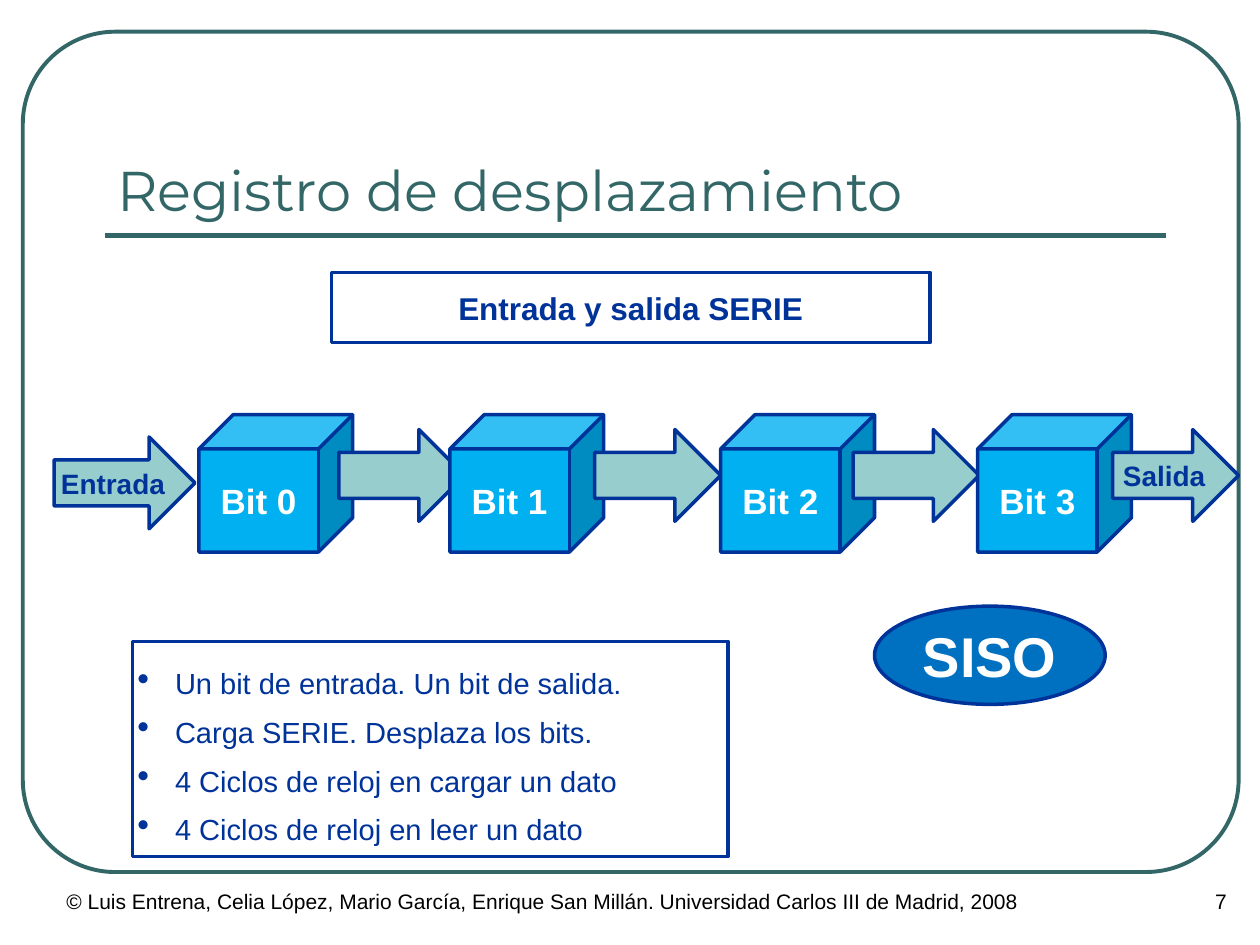
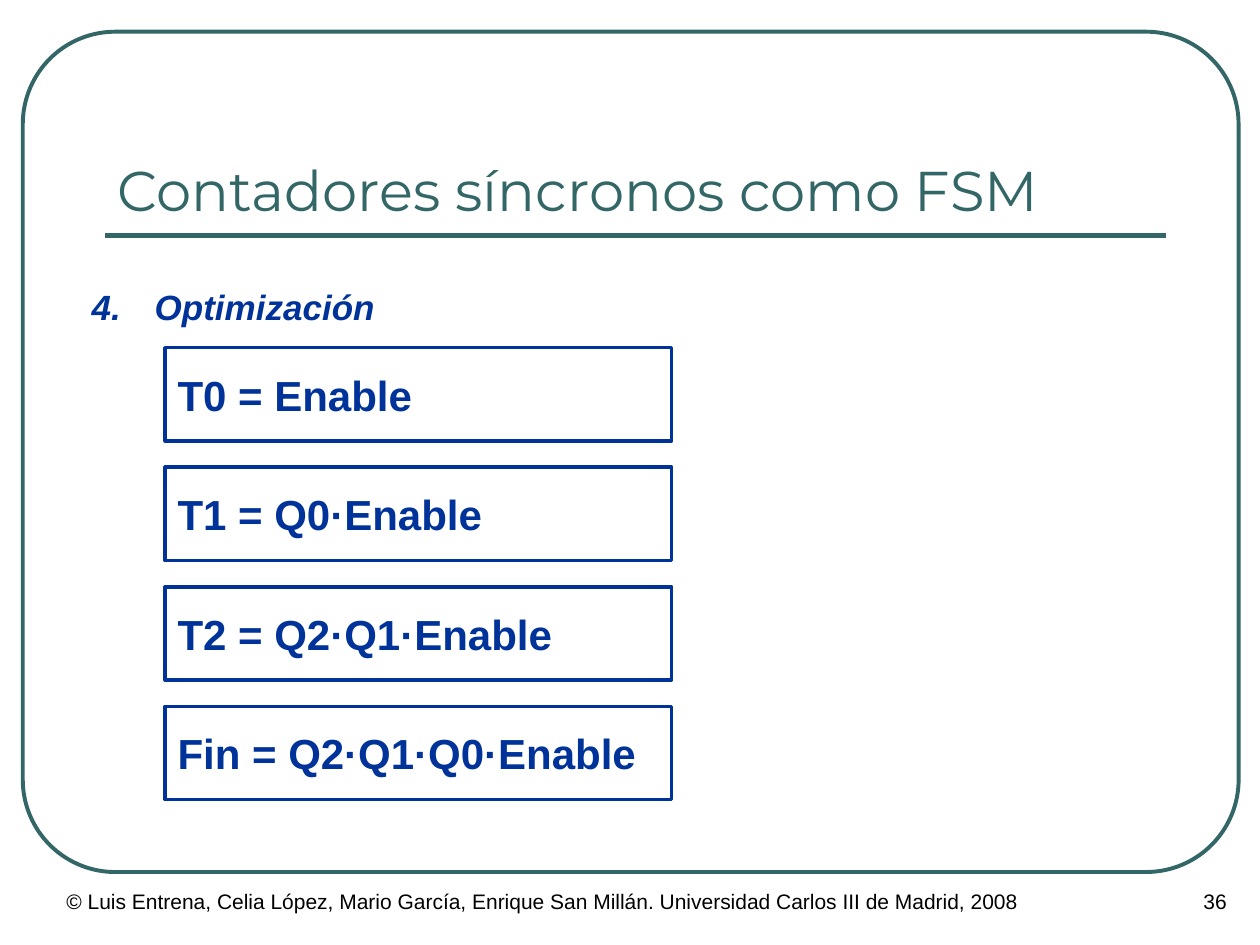
from lxml import etree
from pptx import Presentation
from pptx.dml.color import RGBColor
from pptx.enum.shapes import MSO_CONNECTOR, MSO_SHAPE
from pptx.enum.text import MSO_ANCHOR, PP_ALIGN
from pptx.oxml.ns import qn
from pptx.util import Cm, Pt

LEFT, CENTER, RIGHT, JUSTIFY = PP_ALIGN.LEFT, PP_ALIGN.CENTER, PP_ALIGN.RIGHT, PP_ALIGN.JUSTIFY
TOP, MIDDLE, BOTTOM = MSO_ANCHOR.TOP, MSO_ANCHOR.MIDDLE, MSO_ANCHOR.BOTTOM
RECT, ROUND_RECT, OVAL = MSO_SHAPE.RECTANGLE, MSO_SHAPE.ROUNDED_RECTANGLE, MSO_SHAPE.OVAL
CUBE, ARROW = MSO_SHAPE.CUBE, MSO_SHAPE.RIGHT_ARROW
STRAIGHT = MSO_CONNECTOR.STRAIGHT

TEAL, NAVY, WHITE, BLACK = "336666", "003399", "FFFFFF", "000000"
SKY, AQUA, BLUE = "00B0F0", "97CDCC", "0070C0"
BODY_FONT, TITLE_FONT = "Arial", "Montserrat"
COPYRIGHT = ("© Luis Entrena, Celia López, Mario García, Enrique San Millán. "
             "Universidad Carlos III de Madrid, 2008")


def rgb(color):
    return RGBColor.from_string(color)


def write(tf, lines, size, color=NAVY, font=BODY_FONT, bold=False, italic=False,
          align=LEFT, anchor=MIDDLE, wrap=True):
    """Fill a text frame with one paragraph per line and return the paragraphs."""
    tf.word_wrap = wrap
    tf.vertical_anchor = anchor
    tf.text = "\n".join(lines)
    for p in tf.paragraphs:
        p.alignment = align
        f = p.font
        f.size, f.name, f.bold, f.italic = Pt(size), font, bold, italic
        f.color.rgb = rgb(color)
    return tf.paragraphs


def add_label(s, box, text, size, **style):
    tf = s.shapes.add_textbox(*map(Cm, box)).text_frame
    return write(tf, [text], size, **style)[0]


def add_block(s, kind, box, fill=None, line=NAVY, width=2):
    sp = s.shapes.add_shape(kind, *map(Cm, box))
    sp.shadow.inherit = False
    if fill:
        sp.fill.solid()
        sp.fill.fore_color.rgb = rgb(fill)
    else:
        sp.fill.background()
    sp.line.color.rgb = rgb(line)
    sp.line.width = Pt(width)
    return sp


def add_marker(p, indent, tag, size=None, **attributes):
    """Give a paragraph a hanging indent and a navy bullet or number."""
    pPr = p._p.get_or_add_pPr()
    pPr.set("marL", str(Cm(indent)))
    pPr.set("indent", str(-Cm(indent)))
    color = etree.Element(qn("a:buClr"))
    etree.SubElement(color, qn("a:srgbClr"), val=NAVY)
    parts = [color]
    if size:
        parts.append(etree.Element(qn("a:buSzPct"), val=str(size * 1000)))
    parts.append(etree.Element(qn(tag), attributes))
    for part in parts:
        pPr.find(qn("a:defRPr")).addprevious(part)


def add_base_slide(prs, title, number):
    """Add a slide with the frame, title, rule and footer that all slides share."""
    s = prs.slides.add_slide(prs.slide_layouts[6])
    frame = add_block(s, ROUND_RECT, (0.46, 0.64, 24.51, 16.94), line=TEAL, width=2.25)
    frame.adjustments[0] = 0.11
    rule = s.shapes.add_connector(STRAIGHT, Cm(2.11), Cm(4.75), Cm(23.5), Cm(4.75))
    rule.line.color.rgb = rgb(TEAL)
    rule.line.width = Pt(3)
    etree.SubElement(rule._element.spPr, qn("a:effectLst"))
    add_label(s, (1.09, 17.78, 21.59, 1.27), COPYRIGHT, 12, color=BLACK, anchor=TOP)
    add_label(s, (22.69, 17.78, 2.29, 1.27), str(number), 12, color=BLACK,
              align=RIGHT, anchor=TOP)
    add_label(s, (2.11, 1.47, 21.39, 3.15), title, 32, color=TEAL,
              font=TITLE_FONT, anchor=BOTTOM)
    return s


def add_arrow(s, box, text=None):
    sp = add_block(s, ARROW, box, AQUA)
    if text:
        write(sp.text_frame, [text], 16, bold=True, align=CENTER, wrap=False)


def add_register(s, left, top):
    """Draw the chain of bits, each followed by the arrow that leaves it."""
    add_arrow(s, (left, top + 0.45, 2.84, 1.85), "Entrada")
    cells = [(2.92, 5.74, None), (7.98, 10.9, None),
             (13.44, 16.11, None), (18.62, 21.34, "Salida")]
    for i, (cube_x, arrow_x, text) in enumerate(cells):
        cube = add_block(s, CUBE, (left + cube_x, top, 3.1, 2.77), SKY)
        write(cube.text_frame, [f"Bit {i}"], 20, color=WHITE, bold=True,
              align=CENTER, wrap=False)
        add_arrow(s, (left + arrow_x, top + 0.3, 2.54, 1.85), text)


def add_features(s, box, lines):
    tf = add_block(s, RECT, box, WHITE).text_frame
    tf.margin_left, tf.margin_right = Cm(0.1), Cm(0.3)
    for p in write(tf, lines, 16.6, align=JUSTIFY):
        p.line_spacing = 1.4
        add_marker(p, 0.76, "a:buChar", size=120, char="•")


def add_equations(s, left, top, equations):
    for i, equation in enumerate(equations):
        sp = add_block(s, RECT, (left, top + i * 2.41, 10.21, 1.88))
        write(sp.text_frame, [equation], 24, bold=True)


def shift_register_slide(prs):
    s = add_base_slide(prs, "Registro de desplazamiento", 7)
    banner = add_block(s, RECT, (6.68, 5.49, 12.07, 1.42), WHITE)
    write(banner.text_frame, ["Entrada y salida SERIE"], 18, bold=True, align=CENTER)
    add_register(s, 1.09, 8.36)
    add_features(s, (2.67, 12.93, 12.01, 4.34), [
        "Un bit de entrada. Un bit de salida.",
        "Carga SERIE. Desplaza los bits.",
        "4 Ciclos de reloj en cargar un dato",
        "4 Ciclos de reloj en leer un dato"])
    siso = add_block(s, OVAL, (17.63, 12.22, 4.65, 1.98), BLUE)
    write(siso.text_frame, ["SISO"], 32, color=WHITE, bold=True, align=CENTER, wrap=False)


def counters_slide(prs):
    s = add_base_slide(prs, "Contadores síncronos como FSM", 36)
    step = add_label(s, (1.6, 5.46, 21.79, 1.55), "Optimización", 20,
                     bold=True, italic=True, anchor=TOP)
    step.line_spacing = 1.2
    add_marker(step, 1.27, "a:buAutoNum", type="arabicPeriod", startAt="4")
    add_equations(s, 3.33, 7.01, ["T0 = Enable", "T1 = Q0·Enable",
                                  "T2 = Q2·Q1·Enable", "Fin = Q2·Q1·Q0·Enable"])


def main():
    prs = Presentation()
    prs.slide_width, prs.slide_height = Cm(25.4), Cm(19.05)
    shift_register_slide(prs)
    counters_slide(prs)
    prs.save("out.pptx")


if __name__ == "__main__":
    main()
